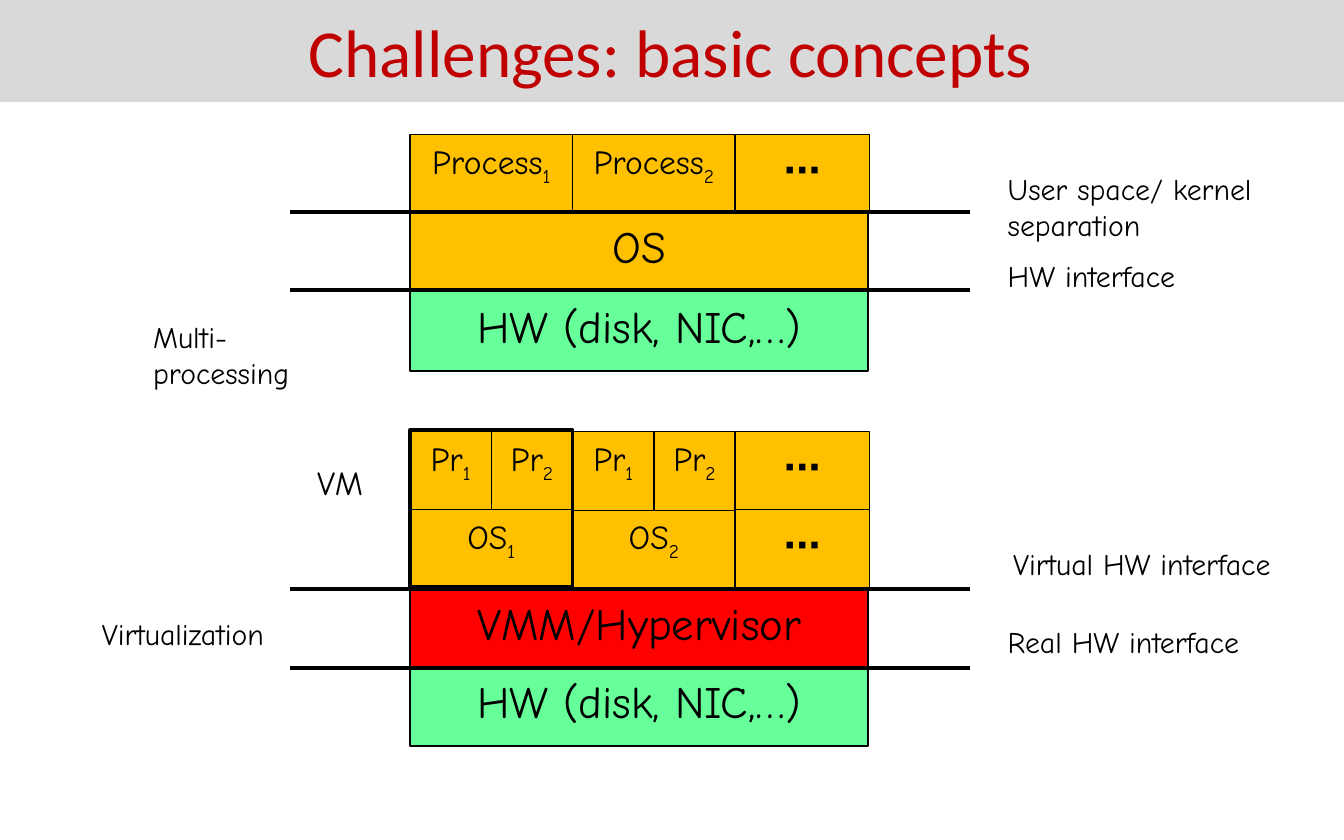
"""Build a slide comparing the layers of multi-processing and virtualization."""
from dataclasses import dataclass

from pptx import Presentation
from pptx.dml.color import RGBColor
from pptx.enum.shapes import MSO_CONNECTOR, MSO_SHAPE
from pptx.enum.text import MSO_ANCHOR, PP_ALIGN
from pptx.oxml.ns import qn
from pptx.shapes.shapetree import GroupShapes, SlideShapes
from pptx.slide import Slide
from pptx.text.text import TextFrame
from pptx.util import Inches, Pt
from lxml import etree

RECTANGLE = MSO_SHAPE.RECTANGLE
STRAIGHT = MSO_CONNECTOR.STRAIGHT
TOP, MIDDLE = MSO_ANCHOR.TOP, MSO_ANCHOR.MIDDLE
LEFT, CENTER = PP_ALIGN.LEFT, PP_ALIGN.CENTER

BLACK = RGBColor(0x00, 0x00, 0x00)
GREY = RGBColor(0xD9, 0xD9, 0xD9)
DARK_RED = RGBColor(0xC0, 0x00, 0x00)
RED = RGBColor(0xFF, 0x00, 0x00)
AMBER = RGBColor(0xFF, 0xC0, 0x00)
GREEN = RGBColor(0x66, 0xFF, 0x99)

BODY_FONT, TITLE_FONT, DOTS_FONT = "Comic Neue", "Calibri", "Arial"
DOTS = "∙∙∙"
HARDWARE = "HW (disk, NIC,…)"

STACK_LEFT, STACK_WIDTH = 3.05, 3.41
COLUMN, LAST_COLUMN = 1.21, 1.0
HALF_COLUMN = COLUMN / 2
SECOND_LEFT = STACK_LEFT + COLUMN
LAST_LEFT = SECOND_LEFT + COLUMN
ROW = 0.59
RULE_LEFT, RULE_RIGHT = 2.16, 7.22


@dataclass(frozen=True)
class TextStyle:
    size: float
    font: str = BODY_FONT
    color: RGBColor = BLACK
    bold: bool = False


@dataclass(frozen=True)
class Block:
    left: float
    top: float
    width: float
    text: str
    subscript: str = ""
    style: TextStyle = TextStyle(18)
    fill: RGBColor = AMBER


@dataclass(frozen=True)
class Label:
    left: float
    top: float
    width: float
    height: float
    text: str
    indent: float = 0
    size: float = 16
    align: PP_ALIGN = LEFT


LARGE = TextStyle(24)
DOTS_STYLE = TextStyle(24, DOTS_FONT, bold=True)
TITLE_STYLE = TextStyle(36, TITLE_FONT, DARK_RED)


def layer(top: float, text: str, fill: RGBColor) -> Block:
    """Describe a block across the whole stack."""
    return Block(STACK_LEFT, top, STACK_WIDTH, text, style=LARGE, fill=fill)


def dots(top: float) -> Block:
    """Describe the block that continues a row."""
    return Block(LAST_LEFT, top, LAST_COLUMN, DOTS, style=DOTS_STYLE)


def numbered(left: float, top: float, width: float, text: str) -> list[Block]:
    """Describe two neighbouring blocks numbered 1 and 2."""
    return [Block(left + i * width, top, width, text, str(i + 1)) for i in range(2)]


BLOCKS = [
    layer(2.17, HARDWARE, GREEN),
    layer(1.58, "OS", AMBER),
    *numbered(STACK_LEFT, 1.0, COLUMN, "Process"),
    dots(1.0),
    layer(4.96, HARDWARE, GREEN),
    layer(4.38, "VMM/Hypervisor", RED),
    *numbered(STACK_LEFT, 3.21, HALF_COLUMN, "Pr"),
    dots(3.21),
    *numbered(STACK_LEFT, 3.79, COLUMN, "OS"),
    dots(3.79),
    *numbered(SECOND_LEFT, 3.21, HALF_COLUMN, "Pr"),
]
RULES = [1.58, 2.16, 4.38, 4.97]
LABELS = [
    Label(0.66, 2.32, 1.84, 0.73, "Multi-processing", indent=0.38),
    Label(7.4, 1.22, 2.13, 0.73, "User space/ kernel separation"),
    Label(7.4, 1.87, 2.13, 0.73, "HW interface"),
    Label(0.66, 4.53, 1.84, 0.43, "Virtualization"),
    Label(7.4, 4.59, 2.26, 0.36, "Real HW interface"),
    Label(7.44, 4.01, 2.56, 0.36, "Virtual HW interface"),
]
VM_LABEL = Label(2.12, 3.39, 0.82, 0.58, "VM", size=18, align=CENTER)


def write(frame: TextFrame, text: str, style: TextStyle, align: PP_ALIGN,
          anchor: MSO_ANCHOR = TOP, subscript: str = "") -> None:
    """Write one paragraph with an optional subscript."""
    frame.word_wrap = True
    frame.vertical_anchor = anchor
    para = frame.paragraphs[0]
    para.alignment = align
    for part in filter(None, (text, subscript)):
        span = para.add_run()
        span.text = part
        span.font.size = Pt(style.size)
        span.font.name = style.font
        span.font.bold = style.bold
        span.font.color.rgb = style.color
    if subscript:
        span.font._element.set("baseline", "-25000")


def draw_block(page: Slide, block: Block) -> None:
    """Draw an outlined block with its text."""
    box = page.shapes.add_shape(RECTANGLE, Inches(block.left), Inches(block.top),
                                Inches(block.width), Inches(ROW))
    box.shadow.inherit = False
    box.fill.solid()
    box.fill.fore_color.rgb = block.fill
    box.line.color.rgb = BLACK
    box.line.width = Pt(0.75)
    write(box.text_frame, block.text, block.style, CENTER, subscript=block.subscript)


def draw_label(shapes: SlideShapes | GroupShapes, label: Label) -> None:
    """Draw a free-standing label."""
    box = shapes.add_textbox(Inches(label.left), Inches(label.top),
                             Inches(label.width), Inches(label.height))
    box.text_frame.margin_left = Inches(0.1 + label.indent)
    write(box.text_frame, label.text, TextStyle(label.size), label.align)


def draw_rule(page: Slide, top: float) -> None:
    """Draw an interface line across a stack."""
    rule = page.shapes.add_connector(STRAIGHT, Inches(RULE_LEFT), Inches(top),
                                     Inches(RULE_RIGHT), Inches(top))
    rule.line.color.rgb = BLACK
    rule.line.width = Pt(2)
    etree.SubElement(rule._element.spPr, qn("a:effectLst"))


def draw_title(page: Slide) -> None:
    """Draw the title band."""
    band = page.shapes.add_shape(RECTANGLE, Inches(-0.02), Inches(0), Inches(10.02), Inches(0.76))
    band.shadow.inherit = False
    band.fill.solid()
    band.fill.fore_color.rgb = GREY
    band.line.fill.background()
    write(band.text_frame, "Challenges: basic concepts", TITLE_STYLE, CENTER, MIDDLE)


def draw_vm(page: Slide) -> None:
    """Draw the frame and label of one virtual machine as a group."""
    group = page.shapes.add_group_shape()
    frame = group.shapes.add_shape(RECTANGLE, Inches(STACK_LEFT), Inches(3.2),
                                   Inches(COLUMN), Inches(1.17))
    frame.shadow.inherit = False
    frame.fill.background()
    frame.line.color.rgb = BLACK
    frame.line.width = Pt(2)
    draw_label(group.shapes, VM_LABEL)


def main() -> None:
    """Build and save the deck."""
    deck = Presentation()
    deck.slide_width, deck.slide_height = Inches(10), Inches(6.25)
    page = deck.slides.add_slide(deck.slide_layouts[6])
    draw_title(page)
    for block in BLOCKS:
        draw_block(page, block)
    for top in RULES:
        draw_rule(page, top)
    for label in LABELS:
        draw_label(page.shapes, label)
    draw_vm(page)
    deck.save("out.pptx")


if __name__ == "__main__":
    main()
